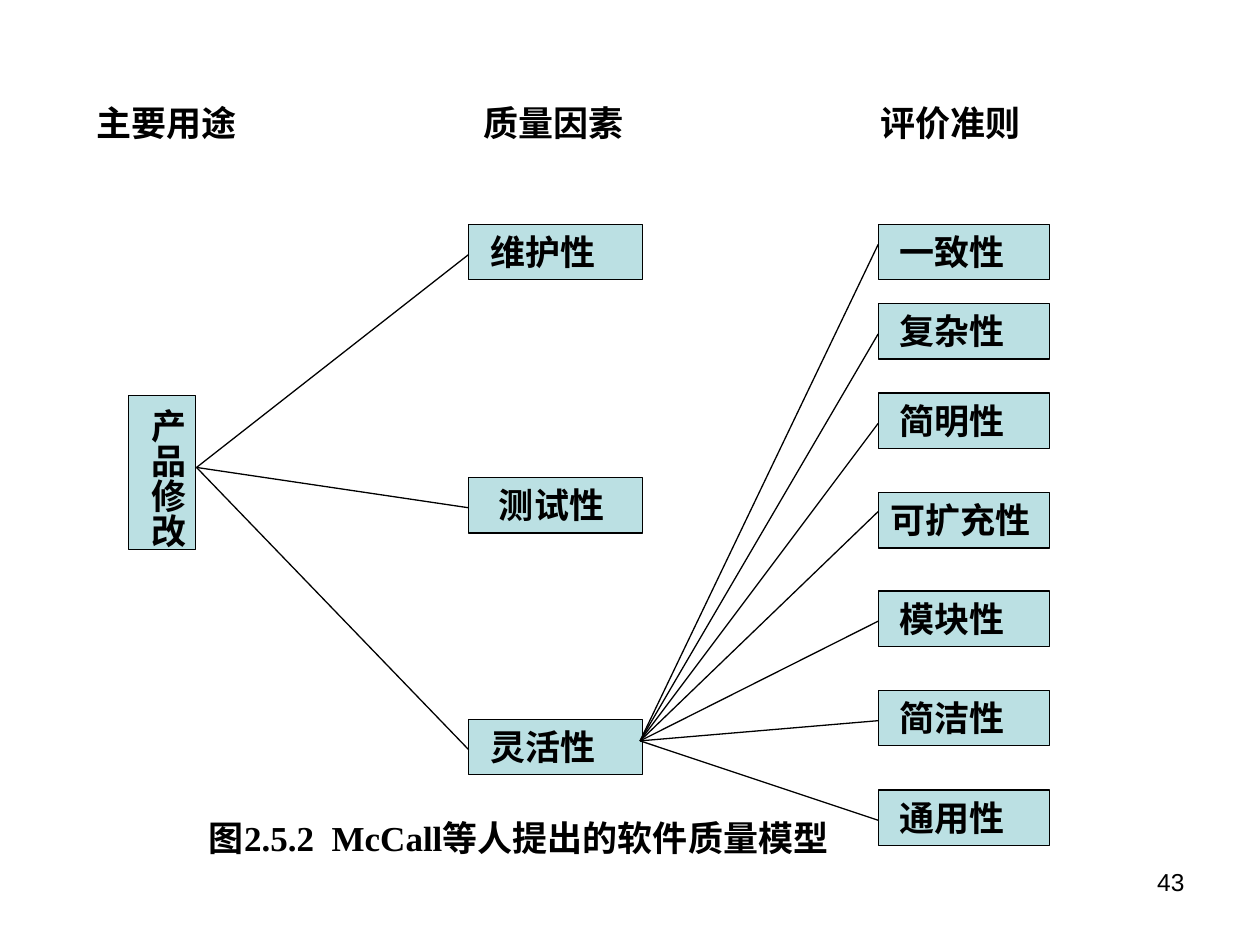
from pptx import Presentation
from pptx.dml.color import RGBColor
from pptx.enum.shapes import MSO_CONNECTOR, MSO_SHAPE
from pptx.enum.text import MSO_ANCHOR, MSO_AUTO_SIZE, PP_ALIGN
from pptx.oxml.ns import qn
from pptx.util import Inches, Pt
from lxml.etree import SubElement


def color(value):
    return RGBColor.from_string(value)


class Diagram:
    FILL, INK = "BBE0E3", "000000"
    LINE_WIDTH = Pt(0.75)
    FONT = {"name": "Times New Roman", "size": Pt(20), "bold": True}

    def __init__(self, page):
        self.page = page

    def fill_text(self, box, text, align=PP_ALIGN.LEFT, font=None, **frame_values):
        frame = box.text_frame
        values = {"word_wrap": True, "vertical_anchor": MSO_ANCHOR.TOP,
                  "auto_size": MSO_AUTO_SIZE.NONE, **frame_values}
        for name, value in values.items():
            setattr(frame, name, value)
        para = frame.paragraphs[0]
        para.alignment = align
        span = para.add_run()
        span.text = text
        for name, value in (font or self.FONT).items():
            setattr(span.font, name, value)
        span.font.color.rgb = color(self.INK)

    def label(self, text, left, top, width, height=0.44, **values):
        box = self.page.shapes.add_textbox(
            Inches(left), Inches(top), Inches(width), Inches(height))
        self.fill_text(box, text, **values)

    def node(self, text, left, top, width, height=0.44, **values):
        box = self.page.shapes.add_shape(
            MSO_SHAPE.RECTANGLE,
            Inches(left), Inches(top), Inches(width), Inches(height))
        box.shadow.inherit = False
        box.fill.solid()
        box.fill.fore_color.rgb = color(self.FILL)
        box.line.color.rgb = color(self.INK)
        box.line.width = self.LINE_WIDTH
        self.fill_text(box, text, **values)
        return box

    def vertical_node(self, text, left, top, width, height):
        box = self.node(text, left, top, width, height, word_wrap=False,
                        margin_left=Inches(0.05), margin_right=Inches(0.05),
                        margin_top=Inches(0.1), margin_bottom=Inches(0.1))
        box.text_frame._txBody.bodyPr.set("vert", "eaVert")

    def link(self, start, end):
        line = self.page.shapes.add_connector(
            MSO_CONNECTOR.STRAIGHT, *map(Inches, start + end))
        line.line.color.rgb = color(self.INK)
        line.line.width = self.LINE_WIDTH
        SubElement(line._element.spPr, qn("a:effectLst"))


# Text, left
HEADINGS = [("主要用途", 0.67), ("质量因素", 3.74), ("评价准则", 6.89)]
# Text, top, left inset
FACTORS = [("维护性", 1.78, 0.17), ("测试性", 3.79, 0.24), ("灵活性", 5.71, 0.17)]
# Text, top, left inset, height at which the line meets the box
CRITERIA = [
    ("一致性", 1.78, 0.17, 1.94),
    ("复杂性", 2.41, 0.17, 2.65),
    ("简明性", 3.12, 0.17, 3.36),
    ("可扩充性", 3.91, 0.1, 4.06),
    ("模块性", 4.69, 0.17, 4.93),
    ("简洁性", 5.48, 0.17, 5.72),
    ("通用性", 6.27, 0.17, 6.51),
]
FACTOR_LEFT, CRITERION_LEFT = 3.72, 6.97
USE_EXIT, FACTOR_EXIT = (1.56, 3.71), (5.08, 5.88)


def main():
    deck = Presentation()
    deck.slide_width, deck.slide_height = Inches(10), Inches(7.5)
    diagram = Diagram(deck.slides.add_slide(deck.slide_layouts[6]))

    # Caption and column headings
    diagram.label("图2.5.2  McCall等人提出的软件质量模型", 1.56, 6.43, 5.25,
                  word_wrap=False)
    for text, left in HEADINGS:
        diagram.label(text, left, 0.76, 1.68)

    # Main use
    diagram.vertical_node("产品修改", 1.02, 3.14, 0.53, 1.22)

    # Quality factors
    for text, top, inset in FACTORS:
        diagram.node(text, FACTOR_LEFT, top, 1.38, margin_left=Inches(inset))
        diagram.link(USE_EXIT, (FACTOR_LEFT, top + 0.24))

    # Criteria of the last factor
    for text, top, inset, entry in CRITERIA:
        diagram.node(text, CRITERION_LEFT, top, 1.36, margin_left=Inches(inset))
        diagram.link(FACTOR_EXIT, (CRITERION_LEFT, entry))

    # Page number
    diagram.label("43", 7.17, 6.83, 2.33, 0.52, align=PP_ALIGN.RIGHT,
                  font={"name": "Arial", "size": Pt(14)})

    deck.save("out.pptx")


if __name__ == "__main__":
    main()
